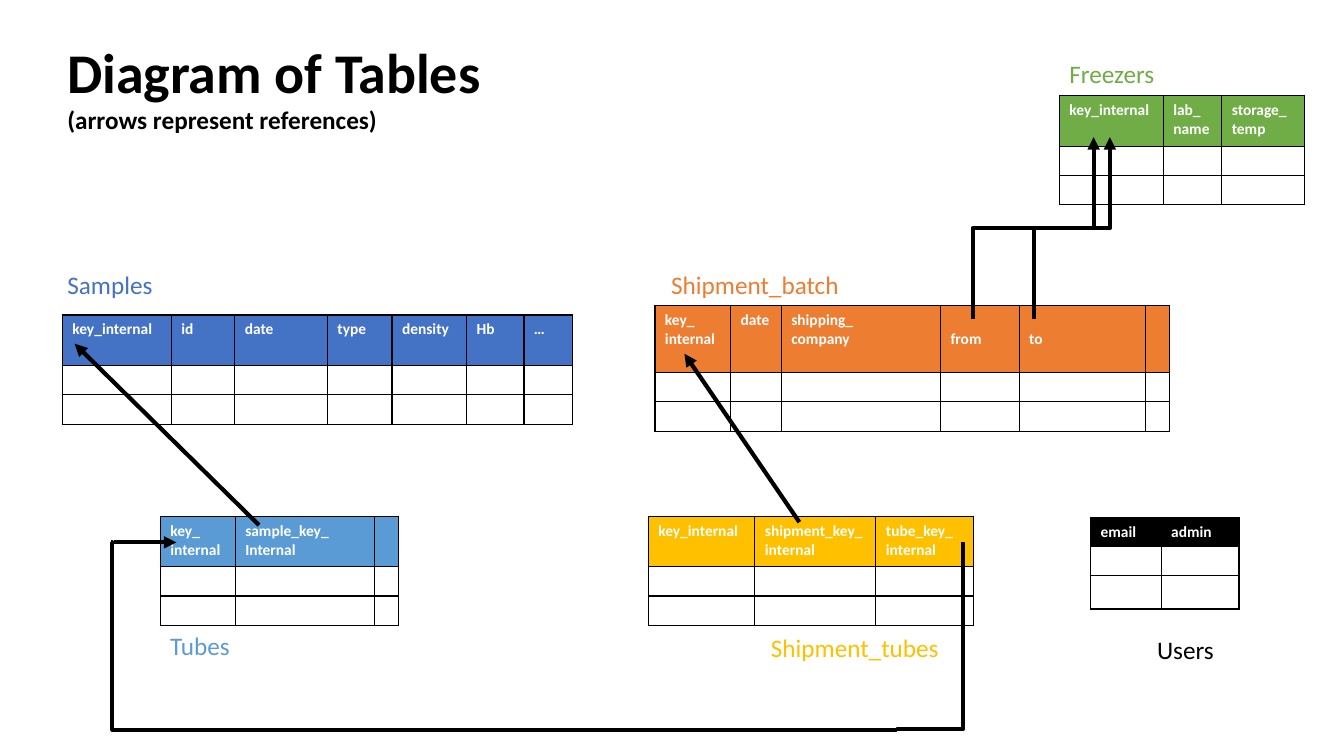
from lxml import etree
from pptx import Presentation
from pptx.dml.color import RGBColor
from pptx.enum import shapes
from pptx.oxml import ns
from pptx.util import Pt

FONT = "Calibri"
BLACK = RGBColor(0, 0, 0)
WHITE = RGBColor(255, 255, 255)
BLUE = RGBColor(0x44, 0x72, 0xC4)
SKY = RGBColor(0x5B, 0x9B, 0xD5)
ORANGE = RGBColor(0xED, 0x7D, 0x31)
GOLD = RGBColor(0xFF, 0xC0, 0x00)
GREEN = RGBColor(0x70, 0xAD, 0x47)
ROWS = [36, 21, 21]
LINE = 13.4


def node(parent, tag, **attrs):
    return etree.SubElement(parent, ns.qn(tag), **attrs)


def style(run, size, color, bold):
    font = run.font
    font.name, font.size, font.bold = FONT, Pt(size), bold
    font.color.rgb = color


def label(slide, words, x, y, w, h, color, sizes=(18,), bold=False):
    frame = slide.shapes.add_textbox(Pt(x), Pt(y), Pt(w), Pt(h)).text_frame
    frame.word_wrap = True
    frame.text = words
    for para, size in zip(frame.paragraphs, sizes):
        style(para.runs[0], size, color, bold)


def border(cell):
    props = cell._tc.get_or_add_tcPr()
    for side in "LRTB":
        edge = node(props, f"a:ln{side}", w=str(Pt(1)))
        node(node(edge, "a:solidFill"), "a:srgbClr", val=str(BLACK))


def fill(cell, words, color):
    border(cell)
    cell.fill.solid()
    cell.fill.fore_color.rgb = color
    cell.text = words
    for para in cell.text_frame.paragraphs:
        for run in para.runs:
            style(run, 11, WHITE, True)
        node(para._p, "a:endParaRPr", sz="1100")


def grid(slide, x, y, cols, heads, color, rows=ROWS):
    frame = slide.shapes.add_table(len(rows), len(cols), Pt(x), Pt(y),
                                   Pt(sum(cols)), Pt(sum(rows)))
    table = frame.table
    table.first_row = table.horz_banding = False
    for col, wide in zip(table.columns, cols):
        col.width = Pt(wide)
    for i, high in enumerate(rows):
        table.rows[i].height = Pt(high)
        for j, head in enumerate(heads):
            fill(table.cell(i, j), "" if i else head, WHITE if i else color)
    return table


def link(slide, kind, x1, y1, x2, y2, arrow):
    line = slide.shapes.add_connector(kind, Pt(x1), Pt(y1), Pt(x2), Pt(y2))
    line.line.color.rgb = BLACK
    line.line.width = Pt(3)
    if arrow:
        node(line.line._get_or_add_ln(), "a:tailEnd", type="triangle")
    node(line._element.spPr, "a:effectLst")
    return line


def ray(slide, x1, y1, x2, y2):
    link(slide, shapes.MSO_CONNECTOR.STRAIGHT, x1, y1, x2, y2, True)


def bend(slide, x1, y1, x2, y2, upright, ratio=0.5, arrow=False):
    if upright:
        mid_x, mid_y = (x1 + x2) / 2, (y1 + y2) / 2
        half_w, half_h = (y2 - y1) / 2, (x1 - x2) / 2
        x1, x2 = mid_x - half_w, mid_x + half_w
        y1, y2 = mid_y - half_h, mid_y + half_h
    line = link(slide, shapes.MSO_CONNECTOR.ELBOW, x1, y1, x2, y2, arrow)
    props = line._element.spPr
    if upright:
        props.find(ns.qn("a:xfrm")).set("rot", "5400000")
    geom = props.find(ns.qn("a:prstGeom"))
    marks = geom.find(ns.qn("a:avLst"))
    if marks is None:
        marks = node(geom, "a:avLst")
    node(marks, "a:gd", name="adj1", fmla=f"val {round(ratio * 100000)}")


def tables(slide):
    grid(slide, 44.5, 225, [77.8, 45.4, 66.2, 46.1, 53.3, 41, 34.6],
         ["key_internal", "id", "date", "type", "density", "Hb", "…"], BLUE)
    grid(slide, 114.5, 368.8, [53.5, 99.4, 16.8],
         ["key_\ninternal", "sample_key_\nInternal", ""], SKY)
    batch = grid(slide, 467.8, 218.2, [54, 36.2, 113.8, 56.2, 90, 17],
                 ["key_\ninternal", "date", "shipping_\ncompany", "from",
                  "to", ""], ORANGE, [47.8, 21, 21])
    for col in (3, 4):
        batch.cell(0, col).margin_top = Pt(3.6 + LINE)
    grid(slide, 463, 368.8, [76.2, 86.4, 70],
         ["key_internal", "shipment_key_\ninternal", "tube_key_\ninternal"],
         GOLD)
    grid(slide, 756.7, 68.4, [74.2, 41.8, 59],
         ["key_internal", "lab_\nname", "storage_\ntemp"], GREEN)
    grid(slide, 779, 369.6, [50.4, 55.6], ["email", "admin"], BLACK,
         [20.6, 20.6, 23.8])


def labels(slide):
    label(slide, "Diagram of Tables\n(arrows represent references)",
          41, 23, 355, 78, BLACK, (40, 18), True)
    label(slide, "Samples", 41, 188.6, 112, 30, BLUE)
    label(slide, "Shipment_batch", 472.3, 188.6, 143, 29, ORANGE)
    label(slide, "Shipment_tubes", 543.6, 448, 144, 29, GOLD)
    label(slide, "Freezers", 756.7, 38.2, 112, 30, GREEN)
    label(slide, "Tubes", 114.5, 447, 112, 30, SKY)
    label(slide, "Users", 819.4, 449.3, 140, 29, BLACK)


def arrows(slide):
    ray(slide, 571, 373, 488.9, 252.7)
    ray(slide, 185, 375.1, 53.3, 245.5)
    ray(slide, 81.4, 387.4, 126, 387.4)
    bend(slide, 687.6, 387.4, 640.8, 521.3, True, 0.997)
    bend(slide, 640.8, 521.3, 79.2, 387.4, False, 0.998)
    bend(slide, 694.8, 228, 781.2, 98, True, arrow=True)
    bend(slide, 738.7, 228, 792.7, 98, True, arrow=True)


def main():
    deck = Presentation()
    deck.slide_width, deck.slide_height = Pt(960), Pt(540)
    slide = deck.slides.add_slide(deck.slide_layouts[6])
    tables(slide)
    labels(slide)
    arrows(slide)
    deck.save("out.pptx")


if __name__ == "__main__":
    main()
